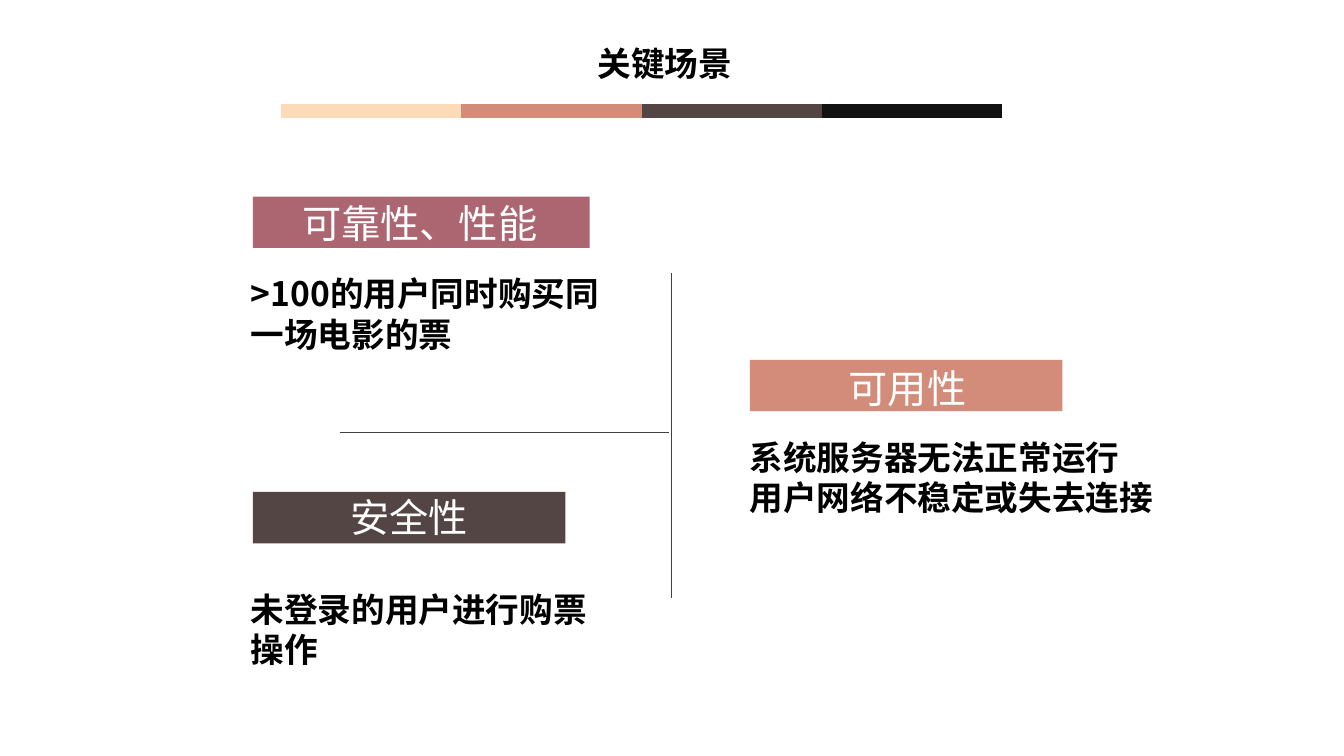
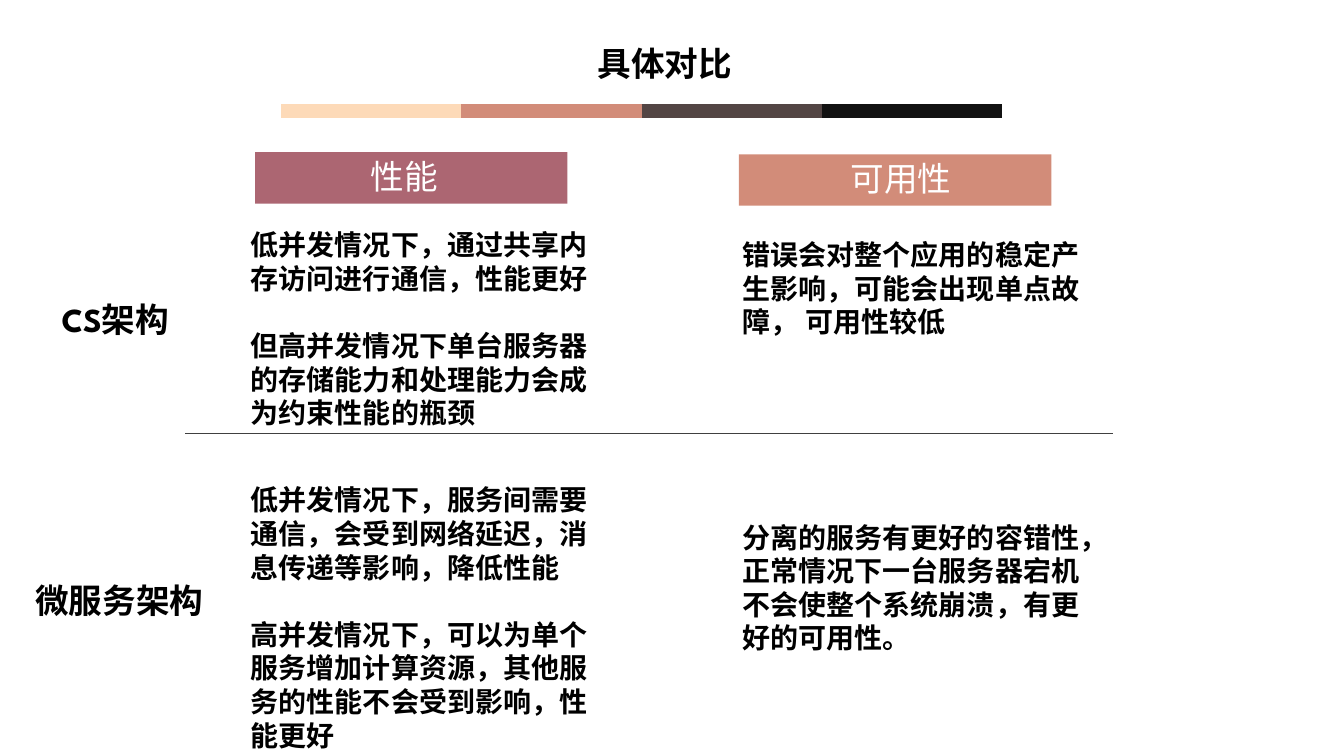
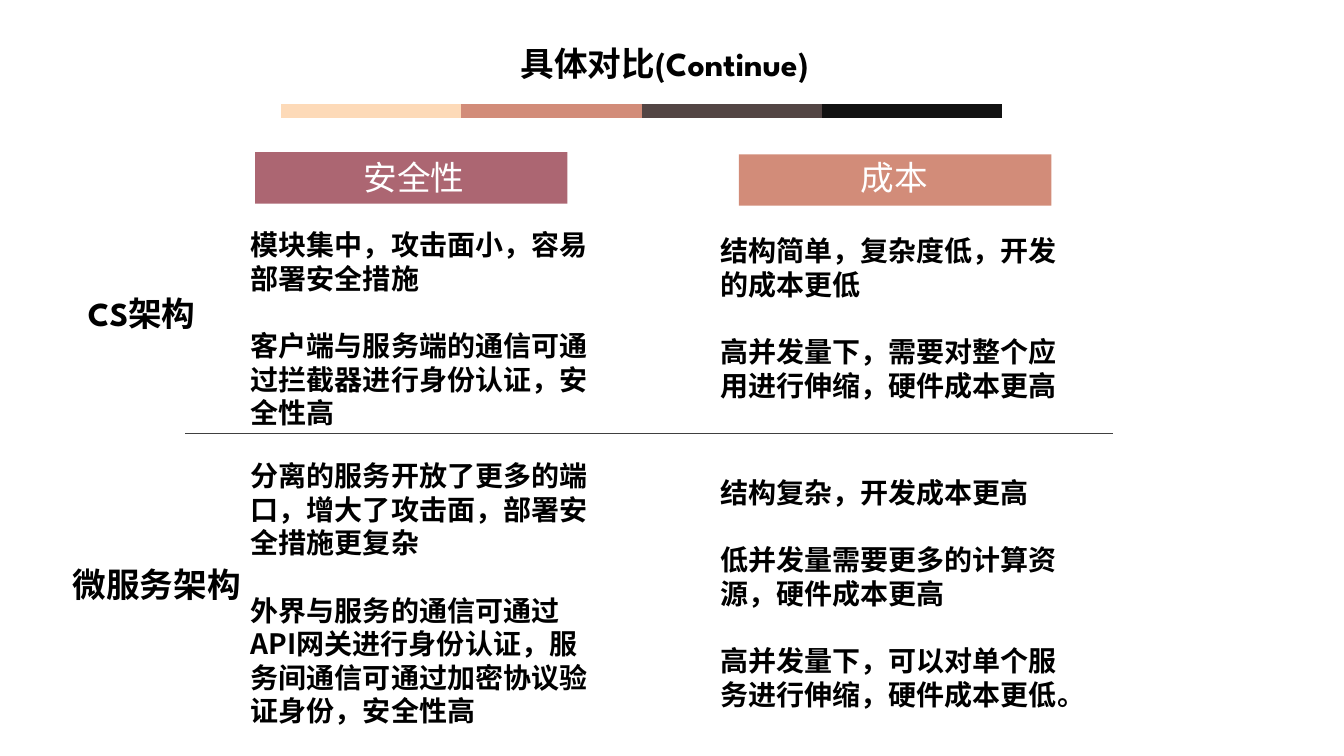
from dataclasses import dataclass

from lxml import etree
from pptx import Presentation
from pptx.dml.color import RGBColor
from pptx.enum import shapes, text
from pptx.oxml.ns import qn
from pptx.util import Pt


@dataclass(frozen=True)
class Theme:
    peach: str = "FDDAB8"
    coral: str = "D28C79"
    brown: str = "534544"
    ink: str = "121212"
    rose: str = "AC6672"
    rule: str = "404040"
    black: str = "000000"
    white: str = "FFFFFF"
    title_font: str = "League Spartan"
    label_font: str = "Calibri"
    body_font: str = "Noto Sans CJK SC"
    heading: int = 24
    body: int = 20
    label: int = 28


THEME = Theme()
LEFT, CENTER = text.PP_ALIGN.LEFT, text.PP_ALIGN.CENTER
BAR_HEIGHT = 36.7
BODY_WIDTH = 264.2

# Content: all places are left, top, width (and height) in points
SCENARIOS = {
    "title": "关键场景",
    "rules": [(242.6, 308.9, 478.1, 308.9), (479.5, 195.1, 479.5, 427)],
    "cards": [
        {"bar": (180.7, 140.4, 240.5), "color": THEME.rose,
         "label": "可靠性、性能", "label_at": (201.6, 139, 196.6),
         "body": [">100的用户同时购买同一场电影的票"], "body_at": (172.1, 191.5, BODY_WIDTH)},
        {"bar": (535.7, 257, 223.2), "color": THEME.coral,
         "label": "可用性", "label_at": (559.4, 257, 177.8),
         "body": ["系统服务器无法正常运行", "用户网络不稳定或失去连接"],
         "body_at": (528.5, 308.2, 309.6)},
        {"bar": (180.7, 351.4, 223.2), "color": THEME.brown,
         "label": "安全性", "label_at": (198.7, 349.2, 187.2),
         "body": ["未登录的用户进行购票操作"], "body_at": (172.1, 416.9, BODY_WIDTH)},
    ],
}

# Each row: name, its centre and top; each cell: left, top, height, paragraphs
COMPARISONS = [
    {
        "title": "具体对比",
        "labels": [("性能", 257.8, 108), ("可用性", 600.5, 109.4)],
        "rows": [("CS架构", 82.4, 213.1), ("微服务架构", 85.3, 413.3)],
        "cells": [
            (172.1, 159.1, 167, ["低并发情况下，通过共享内存访问进行通信，性能更好",
                                 "但高并发情况下单台服务器的存储能力和处理能力会成为约束性能的瓶颈"]),
            (523.4, 166.3, 80, ["错误会对整个应用的稳定产生影响，可能会出现单点故障， 可用性较低"]),
            (172.1, 341.3, 198, ["低并发情况下，服务间需要通信，会受到网络延迟，消息传递等影响，降低性能",
                                 "高并发情况下，可以为单个服务增加计算资源，其他服务的性能不会受到影响，性能更好"]),
            (523.4, 367.9, 104, ["分离的服务有更好的容错性，正常情况下一台服务器宕机不会使整个系统崩溃，有更好的可用性。"]),
        ],
    },
    {
        "title": "具体对比(Continue)",
        "labels": [("安全性", 252.7, 108.7), ("成本", 607.7, 108.7)],
        "rows": [("CS架构", 101.2, 208.8), ("微服务架构", 112, 402.5)],
        "cells": [
            (172.1, 159.1, 153, ["模块集中，攻击面小，容易部署安全措施",
                                 "客户端与服务端的通信可通过拦截器进行身份认证，安全性高"]),
            (507.6, 163.4, 128, ["结构简单，复杂度低，开发的成本更低",
                                 "高并发量下，需要对整个应用进行伸缩，硬件成本更高"]),
            (172.1, 324, 201, ["分离的服务开放了更多的端口，增大了攻击面，部署安全措施更复杂",
                               "外界与服务的通信可通过API网关进行身份认证，服务间通信可通过加密协议验证身份，安全性高"]),
            (507.6, 336.2, 177, ["结构复杂，开发成本更高",
                                 "低并发量需要更多的计算资源，硬件成本更高",
                                 "高并发量下，可以对单个服务进行伸缩，硬件成本更低。"]),
        ],
    },
]


# Drawing helpers
def add_text(page, lines, left, top, width, height, *, size, font=THEME.body_font,
             color=THEME.black, bold=True, align=LEFT, leading=1.2, gap=0):
    box = page.shapes.add_textbox(Pt(left), Pt(top), Pt(width), Pt(height))
    frame = box.text_frame
    frame.word_wrap = True
    for index, line in enumerate(lines):
        para = frame.add_paragraph() if index else frame.paragraphs[0]
        para.alignment = align
        para.line_spacing = Pt(size * leading)
        if index and gap:
            para.space_before = Pt(gap)
        span = para.add_run()
        span.text = line
        span.font.size = Pt(size)
        span.font.bold = bold
        span.font.color.rgb = RGBColor.from_string(color)
        span.font.name = font
        east_asian = etree.SubElement(span.font._element, qn("a:ea"))
        east_asian.set("typeface", THEME.body_font)


def add_heading(page, line, left, top, width):
    add_text(page, [line], left, top, width, 28.8, size=THEME.heading,
             font=THEME.title_font, align=CENTER, leading=1.08)


def add_label(page, line, left, top, width, **style):
    add_text(page, [line], left, top, width, 41, font=THEME.label_font,
             color=THEME.white, bold=False, **style)


def add_line(page, x1, y1, x2, y2, color=THEME.rule, weight=0.5):
    line = page.shapes.add_connector(shapes.MSO_CONNECTOR.STRAIGHT,
                                     Pt(x1), Pt(y1), Pt(x2), Pt(y2))
    line.line.color.rgb = RGBColor.from_string(color)
    line.line.width = Pt(weight)
    etree.SubElement(line._element.spPr, qn("a:effectLst"))


def add_bar(page, left, top, width, color):
    bar = page.shapes.add_shape(shapes.MSO_SHAPE.RECTANGLE,
                                Pt(left), Pt(top), Pt(width), Pt(BAR_HEIGHT))
    bar.shadow.inherit = False
    bar.fill.solid()
    bar.fill.fore_color.rgb = RGBColor.from_string(color)
    bar.line.fill.background()


def add_page(deck, title):
    page = deck.slides.add_slide(deck.slide_layouts[6])
    start, step, y = 200.9, 128.7, 79.2
    for index, color in enumerate((THEME.peach, THEME.coral, THEME.brown, THEME.ink)):
        left = start + index * step
        add_line(page, left, y, left + step, y, color, 10)
    add_heading(page, title, 299.5, 30.2, 350.6)
    return page


# Slides
def build_scenarios(deck, content):
    page = add_page(deck, content["title"])
    for ends in content["rules"]:
        add_line(page, *ends)
    for card in content["cards"]:
        add_bar(page, *card["bar"], card["color"])
        add_label(page, card["label"], *card["label_at"], size=THEME.label, align=CENTER)
        add_text(page, card["body"], *card["body_at"], 65.5, size=THEME.heading)


def build_comparison(deck, content):
    page = add_page(deck, content["title"])
    add_bar(page, 182.2, 108.7, 223.2, THEME.rose)
    add_bar(page, 527.8, 110.2, 223.2, THEME.coral)
    add_line(page, 132.5, 309.6, 794.9, 309.6)
    for label, left, top in content["labels"]:
        add_label(page, label, left, top, 164, size=THEME.heading)
    for name, center, top in content["rows"]:
        add_heading(page, name, center - 75, top, 150)
    for left, top, height, lines in content["cells"]:
        add_text(page, lines, left, top, BODY_WIDTH, height, size=THEME.body, gap=24)


def main():
    deck = Presentation()
    deck.slide_width, deck.slide_height = Pt(960), Pt(540)
    build_scenarios(deck, SCENARIOS)
    for content in COMPARISONS:
        build_comparison(deck, content)
    deck.save("out.pptx")


if __name__ == "__main__":
    main()
